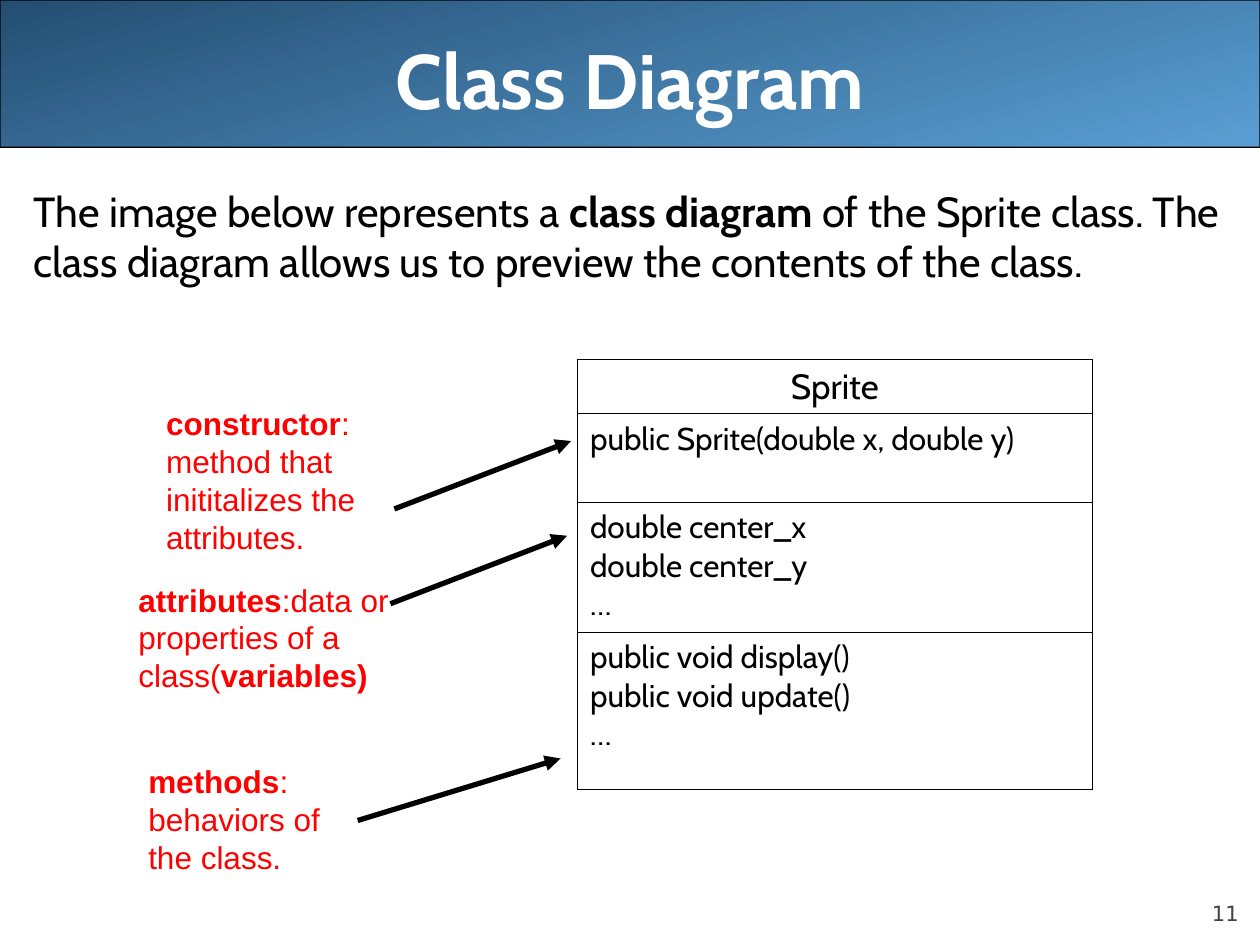
from lxml.etree import SubElement
from pptx import Presentation
from pptx.dml.color import RGBColor
from pptx.enum.shapes import MSO_CONNECTOR, MSO_SHAPE
from pptx.enum.text import MSO_ANCHOR, PP_ALIGN
from pptx.oxml.ns import qn
from pptx.util import Cm, Pt


def color(hex_string):
    return RGBColor.from_string(hex_string)


def write(frame, paragraphs, align=PP_ALIGN.LEFT, **formats):
    """Fill a text frame; each paragraph is a list of (text, bold) runs."""
    frame.word_wrap = True
    for index, runs in enumerate(paragraphs):
        paragraph = frame.paragraphs[0] if index == 0 else frame.add_paragraph()
        paragraph.alignment = align
        for text, bold in runs:
            run = paragraph.add_run()
            run.text = text
            run.font.color.rgb = color(formats["color"])
            for name, value in {"name": formats["font"], "size": Pt(formats["size"]), "bold": bold}.items():
                setattr(run.font, name, value)


prs = Presentation()
prs.slide_width, prs.slide_height = Cm(25.4), Cm(19.05)
slide = prs.slides.add_slide(prs.slide_layouts[6])
shapes = slide.shapes

# Header band
band = shapes.add_shape(MSO_SHAPE.ROUNDED_RECTANGLE, 0, 0, Cm(25.4), Cm(2.97))
band.adjustments[0] = 0.001
band.shadow.inherit = False
band.fill.gradient()
band.fill.gradient_angle = 285
for stop, shade in zip(band.fill.gradient_stops, ("244E72", "5A9FD4")):
    stop.color.rgb = color(shade)
band.line.color.rgb = color("000000")
band.line.width = Pt(0.75)

# Slide number
number = shapes.add_textbox(Cm(22.86), Cm(17.65), Cm(2.11), Cm(1.02)).text_frame
for side in ("left", "top", "right", "bottom"):
    setattr(number, f"margin_{side}", 0)
number.vertical_anchor = MSO_ANCHOR.BOTTOM
write(number, [[("11", False)]], PP_ALIGN.RIGHT, font="DejaVu Sans", size=12, color="424242")

# Title
title = shapes.add_textbox(Cm(1.27), 0, Cm(22.86), Cm(3.18)).text_frame
title.vertical_anchor = MSO_ANCHOR.MIDDLE
write(title, [[("Class Diagram", True)]], PP_ALIGN.CENTER, font="Cabin", size=44, color="FFFFFF")

# Introduction
intro = shapes.add_textbox(Cm(0.43), Cm(3.61), Cm(24.97), Cm(15.44)).text_frame
write(intro, [[
    ("The image below represents a ", False),
    ("class diagram", True),
    (" of the Sprite class. The class diagram allows us to preview the contents of the class.", False),
]], font="Cabin", size=24, color="000000")

# Class diagram: row height in cm, text size, alignment, lines
sections = [
    (1.09, 20, PP_ALIGN.CENTER, ["Sprite"]),
    (1.78, 18, PP_ALIGN.LEFT, ["public Sprite(double x, double y)"]),
    (2.62, 18, PP_ALIGN.LEFT, ["double center_x", "double center_y", "…"]),
    (3.18, 18, PP_ALIGN.LEFT, ["public void display()", "public void update()", "…"]),
]
diagram = shapes.add_table(len(sections), 1, Cm(11.64), Cm(7.24), Cm(10.38), Cm(8.67)).table
diagram.first_row = diagram.horz_banding = False
for row, (height, size, align, lines) in zip(diagram.rows, sections):
    row.height = Cm(height)
    cell = row.cells[0]
    write(cell.text_frame, [[(line, False)] for line in lines], align,
          font="Cabin", size=size, color="000000")
    cell_properties = cell._tc.get_or_add_tcPr()
    for edge in ("a:lnL", "a:lnR", "a:lnT", "a:lnB"):
        border = SubElement(cell_properties, qn(edge), w=str(Pt(0.45)))
        SubElement(SubElement(border, qn("a:solidFill")), qn("a:srgbClr"), val="000000")
    cell.fill.background()

# Notes with arrows: box in cm, arrow from and to in cm, runs
notes = [
    ((3.1, 8.03, 4.6, 3.3), (7.95, 10.26, 11.51, 8.89),
     [("constructor", True), (": method that inititalizes the attributes.", False)]),
    ((2.54, 11.58, 5.64, 2.54), (7.87, 12.17, 11.43, 10.8),
     [("attributes", True), (":data or properties of a class(", False), ("variables)", True)]),
    ((2.74, 15.24, 4.78, 2.54), (7.21, 16.54, 11.3, 15.29),
     [("methods", True), (": behaviors of the class.", False)]),
]
for box, ends, runs in notes:
    arrow = shapes.add_connector(MSO_CONNECTOR.STRAIGHT, *map(Cm, ends))
    arrow.line.color.rgb = color("000000")
    arrow.line.width = Pt(3)
    SubElement(arrow.line._get_or_add_ln(), qn("a:tailEnd"), type="triangle")
    SubElement(arrow._element.spPr, qn("a:effectLst"))
    note = shapes.add_textbox(*map(Cm, box)).text_frame
    write(note, [runs], font="Arial", size=18, color="FF0000")

prs.save("out.pptx")
